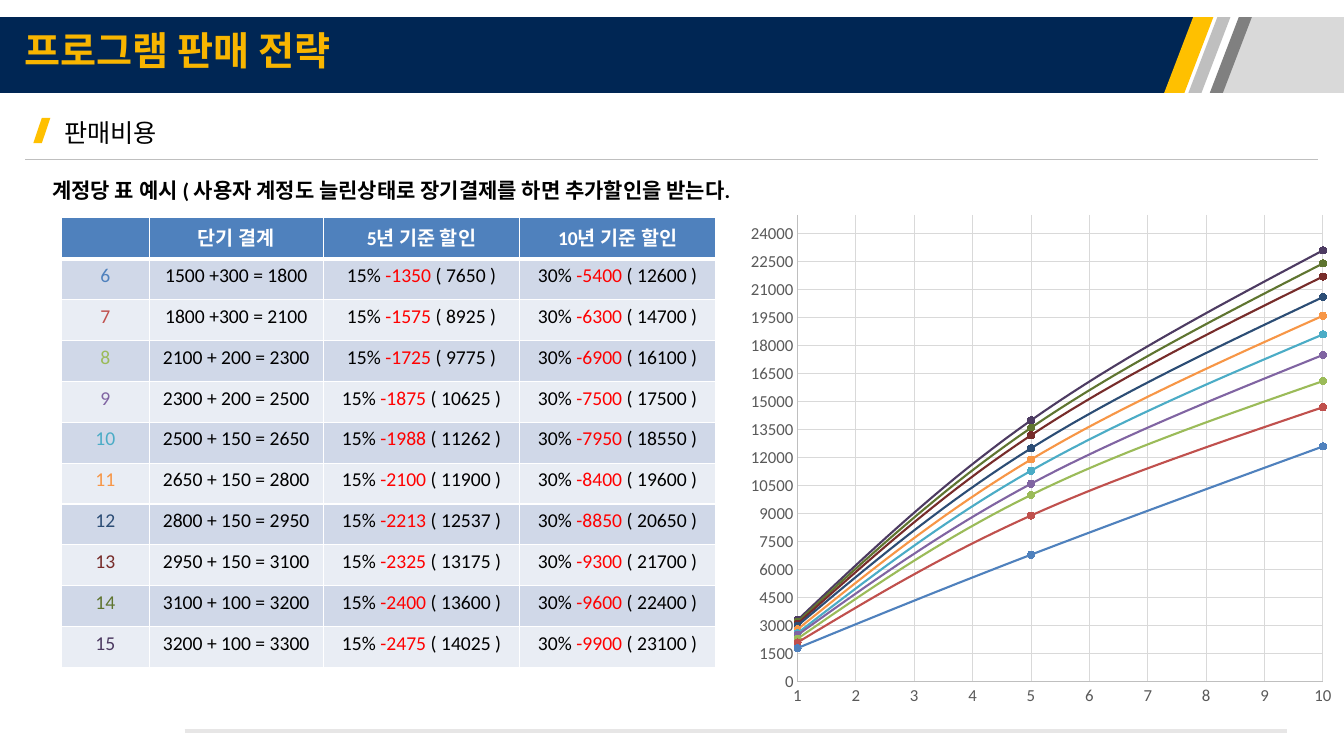
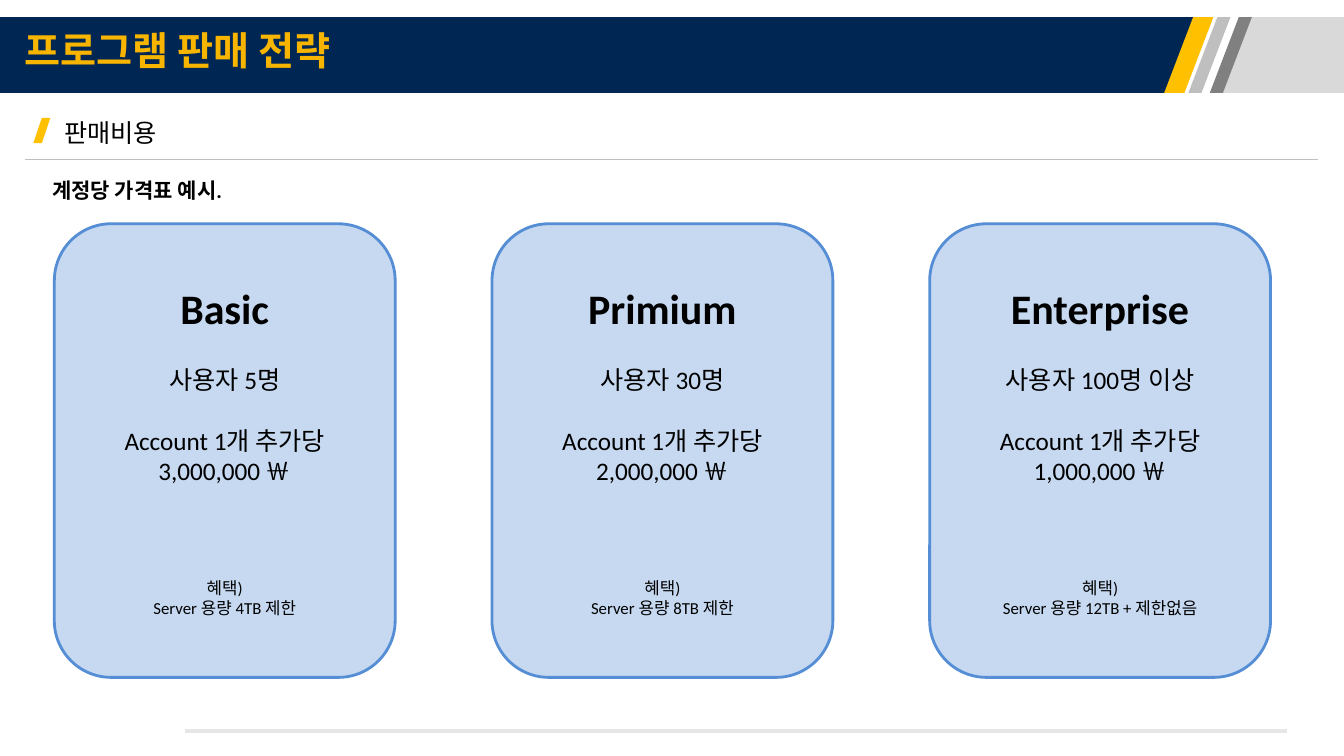
from lxml import etree
from pptx import Presentation
from pptx.chart.data import XyChartData
from pptx.dml.color import RGBColor
from pptx.enum.chart import XL_CHART_TYPE, XL_MARKER_STYLE, XL_TICK_MARK
from pptx.enum.shapes import MSO_CONNECTOR, MSO_SHAPE
from pptx.enum.text import MSO_ANCHOR, PP_ALIGN
from pptx.oxml.ns import qn
from pptx.util import Cm, Pt

LEFT = PP_ALIGN.LEFT
CENTER = PP_ALIGN.CENTER
MIDDLE = MSO_ANCHOR.MIDDLE
SLANT = MSO_SHAPE.PARALLELOGRAM
ROUND = MSO_SHAPE.ROUNDED_RECTANGLE
STRAIGHT = MSO_CONNECTOR.STRAIGHT
SMOOTH = XL_CHART_TYPE.XY_SCATTER_SMOOTH
CIRCLE = XL_MARKER_STYLE.CIRCLE
NO_TICK = XL_TICK_MARK.NONE

WIDE, HIGH = 33.87, 19.05
LATIN, KOREAN = "Calibri", "Noto Sans CJK KR"
BLACK, WHITE, RED = "000000", "FFFFFF", "FF0000"
GOLD, SILVER, BLUE = "FFC000", "BFBFBF", "4F81BD"
HUES = [BLUE, "C0504D", "9BBB59", "8064A2", "4BACC6",
        "F79646", "2C4D75", "772C2A", "5F7530", "4D3B62"]
BANDS = [(0, 30.1, "002654"), (31.24, WIDE, "D9D9D9"), (30.68, 31.01, SILVER),
         (31.22, 31.55, "808080"), (30.07, 30.58, GOLD)]
STEPS = [300, 300, 200, 200, 150, 150, 150, 150, 100, 100]
YEARS = [1, 5, 10]
COSTS = [(1800, 6800, 12600), (2100, 8900, 14700), (2300, 10000, 16100),
         (2500, 10600, 17500), (2600, 11300, 18600), (2800, 11900, 19600),
         (3000, 12500, 20600), (3100, 13200, 21700), (3200, 13600, 22400),
         (3300, 14000, 23100)]
PLANS = [("Basic", "5명", "3,000,000", "4TB 제한"),
         ("Primium", "30명", "2,000,000", "8TB 제한"),
         ("Enterprise", "100명 이상", "1,000,000", "12TB + 제한없음")]


def tint(code):
    return RGBColor.from_string(code)


def box(*sides):
    return [Cm(side) for side in sides]


def paint(item, fill):
    item.fill.solid()
    item.fill.fore_color.rgb = tint(fill)


def stroke(line, color, width):
    line.color.rgb = tint(color)
    line.width = Pt(width)


def write(para, text, size=14, color=BLACK, bold=False, font=LATIN,
          align=None, before=None, space=None):
    run = para.add_run()
    run.text = text
    run.font.size = Pt(size)
    run.font.bold = bold
    run.font.name = font
    run.font.color.rgb = tint(color)
    etree.SubElement(run.font._element, qn("a:ea"), typeface=KOREAN)
    if align is not None:
        para.alignment = align
    if before is not None:
        para.space_before = Pt(before)
    if space is not None:
        para.line_spacing = space


def edge(cell, side, width):
    line = etree.SubElement(cell._tc.get_or_add_tcPr(), qn("a:ln" + side),
                            w=str(Pt(width)))
    fill = etree.SubElement(line, qn("a:solidFill"))
    etree.SubElement(fill, qn("a:srgbClr"), val=WHITE)


class Deck:
    def __init__(self):
        self.show = Presentation()
        self.show.slide_width, self.show.slide_height = box(WIDE, HIGH)
        self.base = self.show.slide_layouts[5]
        self.slide = None

    def page(self, title, topic, note):
        first = self.slide is None
        self.slide = self.show.slides.add_slide(self.base)
        if first:
            self.frame()
        head = self.slide.shapes.title
        head.left, head.top, head.width, head.height = box(0.61, 0.64, 19.5, 1.22)
        area = head.text_frame
        area.margin_left = area.margin_right = area.margin_top = area.margin_bottom = 0
        area.vertical_anchor = MIDDLE
        write(area.paragraphs[0], title, size=28, color="F8B500", bold=True,
              font=KOREAN, align=LEFT)
        mark = self.shape(SLANT, 0.84, 2.97, 0.43, 0.64, GOLD)
        mark.adjustments[0] = 0.5
        self.line(0.64, 33.22, 4.02, SILVER, 0.75)
        self.text(topic, 1.37, 2.82, 32.08, 1.02, size=18)
        self.text(note, 1.07, 4.04, 29.87, 1.12, size=15, bold=True, space=1.5)

    def frame(self):
        for spare in list(self.base.placeholders)[1:]:
            spare.element.getparent().remove(spare.element)
        parts = [self.line(4.65, 32.44, 18.42, "E7E6E6", 2.28)]
        parts += [self.band(*band) for band in BANDS]
        for part in parts:
            self.base.shapes.element.append(part.element)

    def band(self, left, right, color):
        top, base = 0.43, 2.34
        low = [x - 0.73 if 0 < x < WIDE else x for x in (left, right)]
        path = self.slide.shapes.build_freeform(Cm(left), Cm(top))
        path.add_line_segments([box(right, top), box(low[1], base),
                                box(low[0], base)])
        item = path.convert_to_shape()
        item.shadow.inherit = False
        paint(item, color)
        item.line.fill.background()
        return item

    def line(self, left, right, top, color, width):
        item = self.slide.shapes.add_connector(STRAIGHT, *box(left, top, right, top))
        stroke(item.line, color, width)
        etree.SubElement(item.element.spPr, qn("a:effectLst"))
        return item

    def shape(self, kind, left, top, width, height, fill):
        item = self.slide.shapes.add_shape(kind, *box(left, top, width, height))
        item.shadow.inherit = False
        paint(item, fill)
        item.line.fill.background()
        return item

    def text(self, words, left, top, width, height, **form):
        item = self.slide.shapes.add_textbox(*box(left, top, width, height))
        item.text_frame.word_wrap = True
        write(item.text_frame.paragraphs[0], words, **form)

    def card(self, left, name, users, price, room):
        item = self.shape(ROUND, left, 5.64, 8.59, 11.43, "C6D9F1")
        stroke(item.line, "558ED5", 2)
        area = item.text_frame
        area.word_wrap = True
        area.vertical_anchor = MIDDLE
        rows = [(name, 30, 0), (f"사용자 {users}", 18, 22),
                ("Account 1개 추가당", 18, 22), (f"{price} ￦", 18, 0),
                ("혜택)", 12, 66), (f"Server 용량 {room}", 12, 0)]
        for i, (words, size, before) in enumerate(rows):
            para = area.add_paragraph() if i else area.paragraphs[0]
            write(para, words, size=size, bold=not i, align=CENTER, before=before)

    def table(self, rows, left, top, widths, height):
        grid = self.slide.shapes.add_table(
            len(rows), len(widths),
            *box(left, top, sum(widths), height * len(rows))).table
        for col, width in zip(grid.columns, widths):
            col.width = Cm(width)
        for r, row in enumerate(rows):
            grid.rows[r].height = Cm(height)
            for c, runs in enumerate(row):
                cell = grid.cell(r, c)
                for side in "LRTB":
                    thick = (r, side) in ((0, "B"), (1, "T"))
                    edge(cell, side, 3 if thick else 1)
                paint(cell, ("D0D8E8" if r % 2 else "E9EDF4") if r else BLUE)
                for words, color in runs:
                    write(cell.text_frame.paragraphs[0], words, color=color,
                          bold=not r, align=CENTER)

    def chart(self, left, top, width, height):
        data = XyChartData()
        for i, costs in enumerate(COSTS, 1):
            series = data.add_series(f"Series {i}")
            for point in zip(YEARS, costs):
                series.add_data_point(*point)
        chart = self.slide.shapes.add_chart(
            SMOOTH, *box(left, top, width, height), data).chart
        chart.has_legend = chart.has_title = False
        chart.font.name = LATIN
        chart.font.size = Pt(10)
        plot = chart.plots[0]
        plot.vary_by_categories = False
        for series, hue in zip(plot.series, HUES):
            stroke(series.format.line, hue, 1.5)
            series.marker.style = CIRCLE
            series.marker.size = 5
            paint(series.marker.format, hue)
            stroke(series.marker.format.line, hue, 0.75)
        for flag in chart.element.iter(qn("c:smooth")):
            flag.set("val", "1")
        self.axis(chart.category_axis, 1, 10, 1)
        self.axis(chart.value_axis, 0, 25000, 1500)

    def axis(self, axis, low, high, step):
        axis.minimum_scale, axis.maximum_scale = low, high
        axis.major_unit = step
        axis.major_tick_mark = axis.minor_tick_mark = NO_TICK
        axis.has_major_gridlines = True
        stroke(axis.major_gridlines.format.line, "D9D9D9", 0.75)
        stroke(axis.format.line, SILVER, 0.75)
        font = axis.tick_labels.font
        font.name = LATIN
        font.size = Pt(12)
        font.color.rgb = tint("595959")


def offer(price, years, rate):
    total = price * years
    cut = (total * rate + 50) // 100
    return [(f"{rate}% ", BLACK), (f"-{cut}", RED), (f" ( {total - cut} )", BLACK)]


def prices():
    heads = ["단기 결계", "5년 기준 할인", "10년 기준 할인"]
    rows = [[[]] + [[(head, WHITE)] for head in heads]]
    price = 1500
    for count, (step, hue) in enumerate(zip(STEPS, HUES), 6):
        plus = "+" if step == 300 else "+ "
        total = price + step
        rows.append([[(str(count), hue)],
                     [(f"{price} {plus}{step} = {total}", BLACK)],
                     offer(total, 5, 15), offer(total, 10, 30)])
        price = total
    return rows


def main():
    deck = Deck()
    title, topic = "프로그램 판매 전략", "판매비용"
    deck.page(title, topic, "계정당 표 예시 ( 사용자 계정도 늘린상태로 "
              "장기결제를 하면 추가할인을 받는다.")
    deck.table(prices(), 1.55, 5.49, [2.21, 4.39, 4.95, 4.93], 1.03)
    deck.chart(18.62, 5.16, 15.24, 12.88)
    deck.page(title, topic, "계정당 가격표 예시.")
    for i, plan in enumerate(PLANS):
        deck.card(1.37 + 11.03 * i, *plan)
    deck.show.save("out.pptx")


if __name__ == "__main__":
    main()
